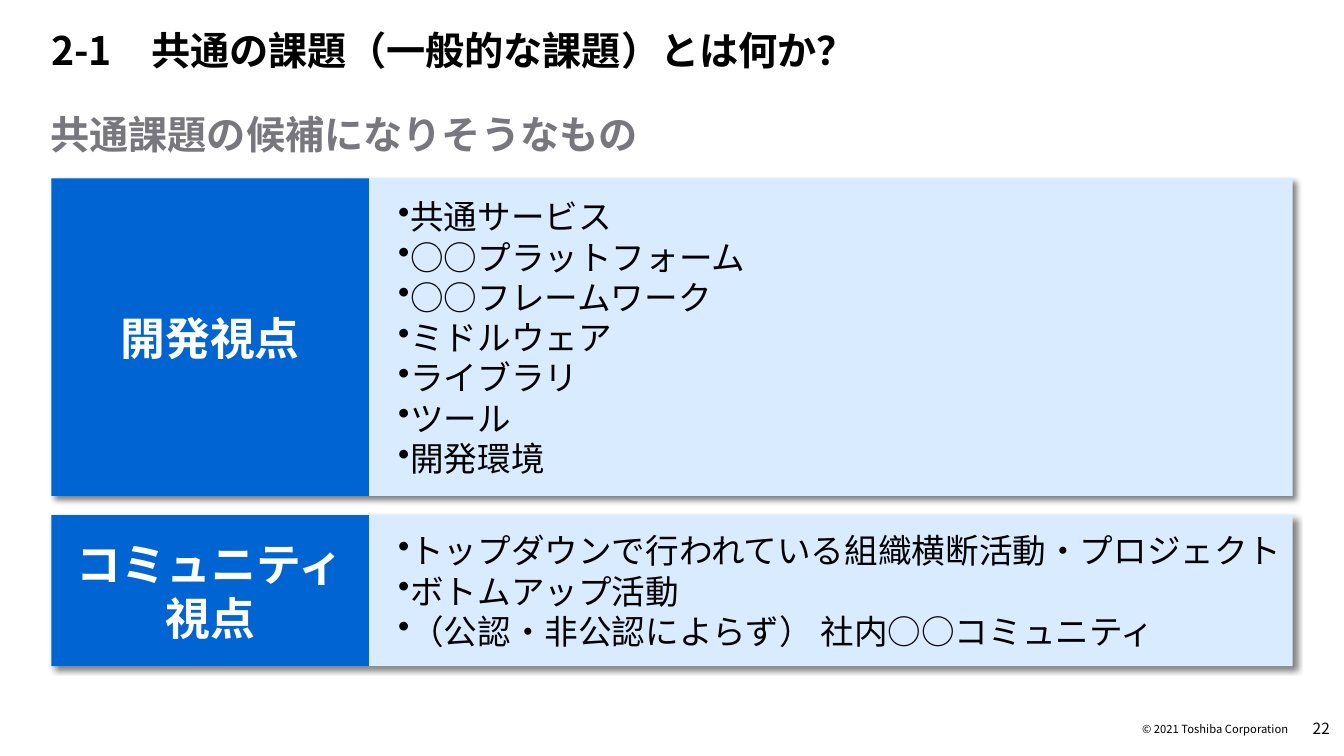
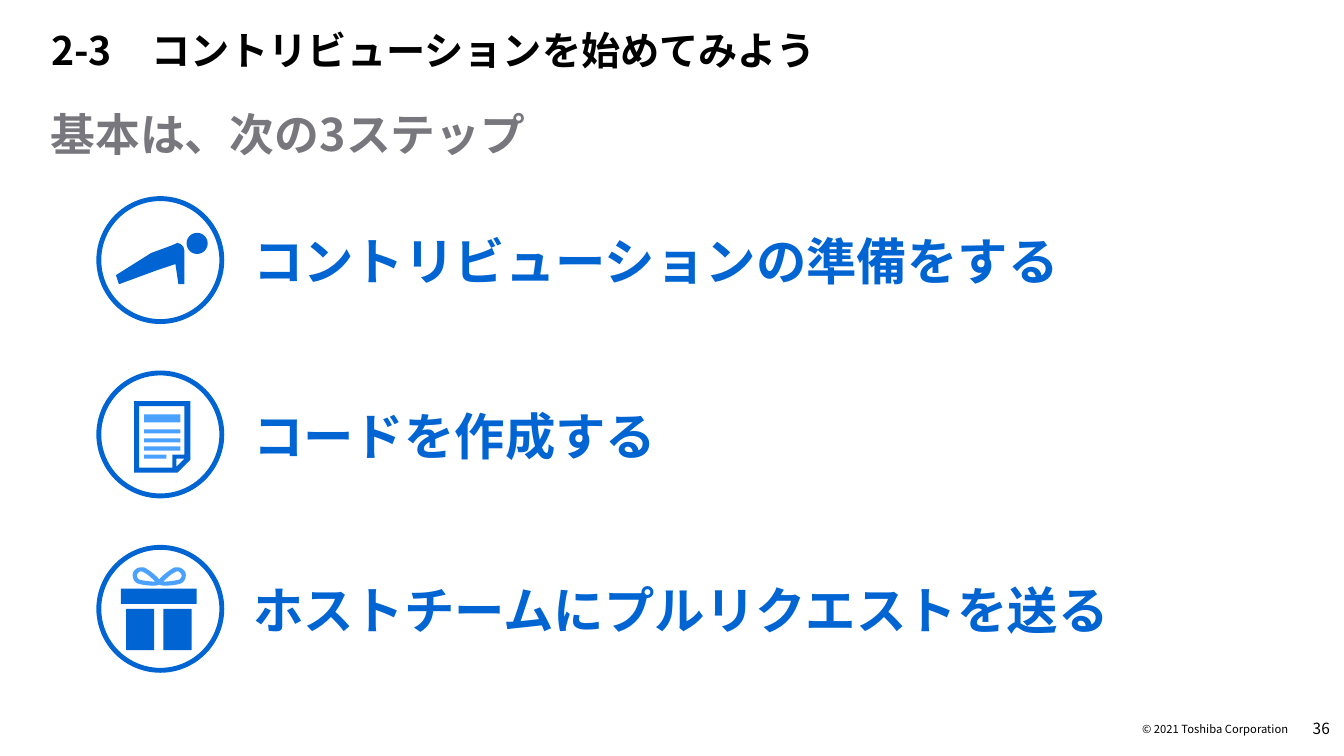
"""Build two slides on shared issues and the first steps of contributing."""
import pptx
import pptx.dml.color
import pptx.enum.shapes
import pptx.enum.text
import pptx.oxml
import pptx.oxml.ns
import pptx.util

Inches = pptx.util.Inches
Pt = pptx.util.Pt
SHAPE = pptx.enum.shapes.MSO_SHAPE
ALIGN = pptx.enum.text.PP_ALIGN
ANCHOR = pptx.enum.text.MSO_ANCHOR

FONT = "Noto Sans CJK JP"
COLORS = {
    "black": "000000",
    "white": "FFFFFF",
    "gray": "77777D",
    "blue": "0064D2",
    "sky": "4BA1FF",
    "pale": "D9EBFF",
}
COPYRIGHT = "© 2021 Toshiba Corporation"

ISSUES = {
    "title": "2-1　共通の課題（一般的な課題）とは何か？",
    "subtitle": "共通課題の候補になりそうなもの",
    "subtitle_size": 28,
    "number": "22",
}
CARDS = [
    (1.77, 3.15, ["開発視点"], [
        "共通サービス", "○○プラットフォーム", "○○フレームワーク",
        "ミドルウェア", "ライブラリ", "ツール", "開発環境",
    ]),
    (5.11, 1.5, ["コミュニティ", "視点"], [
        "トップダウンで行われている組織横断活動・プロジェクト",
        "ボトムアップ活動",
        "（公認・非公認によらず） 社内○○コミュニティ",
    ]),
]
CARD_LEFT, CARD_WIDTH, LABEL_WIDTH, LIST_LEFT = 0.51, 12.31, 3.15, 3.95

STARTING = {
    "title": "2-3　コントリビューションを始めてみよう",
    "subtitle": "基本は、次の3ステップ",
    "subtitle_size": 32,
    "number": "36",
}
STEP_LEFT, STEP_TOP, STEP_PITCH, CIRCLE = 0.98, 1.97, 1.73, 1.22

BODY = [(0.85, 0.52), (0.84, 0.48), (0.81, 0.45), (0.78, 0.44), (0.71, 0.47),
        (0.52, 0.54), (0.17, 0.76), (0.2, 0.85), (0.58, 0.71), (0.76, 0.65),
        (0.79, 0.85), (0.85, 0.85)]
SHEET = [
    [(0.35, 0.28), (0.91, 0.28), (0.91, 0.86), (0.87, 0.9), (0.78, 0.99), (0.35, 0.99)],
    [(0.4, 0.33), (0.85, 0.33), (0.85, 0.81), (0.73, 0.81), (0.73, 0.94), (0.4, 0.94)],
    [(0.77, 0.93), (0.77, 0.85), (0.85, 0.85)],
]
SHEET_LINES = [(0.41, 0.36, 0.08), (0.56, 0.36, 0.04), (0.65, 0.36, 0.04),
               (0.73, 0.36, 0.04), (0.81, 0.22, 0.04)]
GIFT_BOXES = [(0.27, 0.61, 0.28, 0.41), (0.64, 0.61, 0.28, 0.41), (0.22, 0.41, 0.75, 0.15)]
BOW_CENTER = 0.6
BOW_OUTER = [(0, 0.32), (0.02, 0.29), (0.09, 0.23), (0.15, 0.2),
             (0.2, 0.19), (0.24, 0.21), (0.26, 0.25),
             (0.27, 0.29), (0.26, 0.34), (0.21, 0.36),
             (0.18, 0.37), (0.12, 0.38), (0.06, 0.38),
             (0.04, 0.38), (0.02, 0.38), (0, 0.37)]
BOW_INNER = [(0.17, 0.24), (0.19, 0.23), (0.21, 0.25), (0.22, 0.27),
             (0.23, 0.29), (0.21, 0.31), (0.2, 0.32),
             (0.16, 0.33), (0.1, 0.34), (0.04, 0.34),
             (0.07, 0.31), (0.12, 0.26), (0.17, 0.24)]


def rgb(name):
    return pptx.dml.color.RGBColor.from_string(COLORS[name])


def add_bullet(para):
    properties = para._p.get_or_add_pPr()
    properties.set("marL", str(Inches(0.12)))
    properties.set("indent", str(-Inches(0.12)))
    bullet = pptx.oxml.parse_xml(f'<a:buChar {pptx.oxml.ns.nsdecls("a")} char="•"/>')
    properties.append(bullet)


def write(box, lines, size, color, bold=False, align=ALIGN.LEFT,
          anchor=ANCHOR.MIDDLE, margins=(0, 0, 0, 0), spacing=None, bullets=False):
    frame = box.text_frame
    frame.word_wrap = True
    frame.vertical_anchor = anchor
    (frame.margin_left, frame.margin_top,
     frame.margin_right, frame.margin_bottom) = map(Inches, margins)
    for index, line in enumerate(lines):
        para = frame.paragraphs[0] if index == 0 else frame.add_paragraph()
        para.alignment = align
        if len(lines) > 1:
            para.line_spacing = Pt(size * 1.2)
        elif spacing:
            para.line_spacing = spacing
        if bullets:
            add_bullet(para)
        span = para.add_run()
        span.text = line
        span.font.name = FONT
        span.font.size = Pt(size)
        span.font.bold = bold
        span.font.color.rgb = rgb(color)
        east = pptx.oxml.parse_xml(f'<a:ea {pptx.oxml.ns.nsdecls("a")} typeface="{FONT}"/>')
        span.font._element.append(east)


def add_text(shapes, place, lines, size, color, **style):
    box = shapes.add_textbox(*map(Inches, place))
    write(box, lines, size, color, **style)


def paint(shape, fill):
    shape.shadow.inherit = False
    shape.fill.solid()
    shape.fill.fore_color.rgb = rgb(fill)
    shape.line.fill.background()
    return shape


def add_block(shapes, place, fill, kind=SHAPE.RECTANGLE):
    return paint(shapes.add_shape(kind, *map(Inches, place)), fill)


def add_outline(shapes, left, top, contours, fill):
    builder = None
    for contour in contours:
        points = [(Inches(left + x), Inches(top + y)) for x, y in contour]
        if builder is None:
            builder = shapes.build_freeform(*points[0])
        else:
            builder.move_to(*points[0])
        builder.add_line_segments(points[1:], close=True)
    paint(builder.convert_to_shape(), fill)


def add_soft_shadow(shape):
    effects = shape._element.spPr.find(pptx.oxml.ns.qn("a:effectLst"))
    effects.append(pptx.oxml.parse_xml(
        f'<a:outerShdw {pptx.oxml.ns.nsdecls("a")} blurRad="{Pt(4)}" dist="{Pt(4)}"'
        f' dir="2700000" algn="tl" rotWithShape="0"><a:srgbClr val="{COLORS["black"]}">'
        '<a:alpha val="50000"/></a:srgbClr></a:outerShdw>'))


def curve_points(controls, steps=8):
    points = [controls[0]]
    for start in range(0, len(controls) - 1, 3):
        segment = controls[start:start + 4]
        for step in range(1, steps + 1):
            t = step / steps
            weights = ((1 - t) ** 3, 3 * t * (1 - t) ** 2, 3 * t * t * (1 - t), t ** 3)
            points.append(tuple(sum(w * point[axis] for w, point in zip(weights, segment))
                                for axis in (0, 1)))
    return points


def draw_push_up(shapes, left, top):
    add_block(shapes, (left + 0.87, top + 0.34, 0.21, 0.21), "blue", SHAPE.OVAL)
    add_outline(shapes, left, top, [BODY], "blue")


def draw_document(shapes, left, top):
    add_outline(shapes, left, top, SHEET, "blue")
    for y, width, height in SHEET_LINES:
        add_block(shapes, (left + 0.45, top + y, width, height), "sky")


def draw_gift(shapes, left, top):
    outer, inner = curve_points(BOW_OUTER), curve_points(BOW_INNER)

    def mirrored(points):
        return [(-x, y) for x, y in reversed(points)]

    bow = [outer + mirrored(outer), inner, mirrored(inner)]
    add_outline(shapes, left + BOW_CENTER, top, bow, "sky")
    for x, y, width, height in GIFT_BOXES:
        add_block(shapes, (left + x, top + y, width, height), "blue")


STEPS = [
    ("コントリビューションの準備をする", draw_push_up),
    ("コードを作成する", draw_document),
    ("ホストチームにプルリクエストを送る", draw_gift),
]


def add_page(deck, content):
    shapes = deck.slides.add_slide(deck.slide_layouts[6]).shapes
    add_text(shapes, (12.73, 7.03, 0.46, 0.4), [content["number"]], 11, "black",
             align=ALIGN.RIGHT)
    add_text(shapes, (10.8, 7.15, 1.98, 0.17), [COPYRIGHT], 8, "black", align=ALIGN.RIGHT)
    add_text(shapes, (0, 0, 12.52, 0.85), [content["title"]], 28, "black", bold=True,
             anchor=ANCHOR.BOTTOM, margins=(0.51, 0.12, 0.47, 0.12), spacing=0.9)
    add_text(shapes, (0.5, 1.08, 12.3, 0.5), [content["subtitle"]],
             content["subtitle_size"], "gray", bold=True)
    return shapes


def add_card(shapes, top, height, label, items):
    add_soft_shadow(add_block(shapes, (CARD_LEFT, top, CARD_WIDTH, height), "pale"))
    heading = add_block(shapes, (CARD_LEFT, top, LABEL_WIDTH, height), "blue")
    write(heading, label, 32, "white", bold=True, align=ALIGN.CENTER)
    list_width = CARD_LEFT + CARD_WIDTH - LIST_LEFT
    add_text(shapes, (LIST_LEFT, top, list_width, height), items, 24, "black", bullets=True)


def add_step(shapes, index, caption, draw_icon):
    top = STEP_TOP + index * STEP_PITCH
    group = shapes.add_group_shape().shapes
    add_text(group, (2.51, top + 0.28, 9.84, 0.67), [caption], 36, "blue", bold=True)
    ring = add_block(group, (STEP_LEFT, top, CIRCLE, CIRCLE), "white", SHAPE.OVAL)
    ring.line.color.rgb = rgb("blue")
    ring.line.width = Pt(3.5)
    draw_icon(group, STEP_LEFT, top)


def main():
    deck = pptx.Presentation()
    deck.slide_width, deck.slide_height = Inches(13.33), Inches(7.5)
    issues = add_page(deck, ISSUES)
    for card in CARDS:
        add_card(issues, *card)
    starting = add_page(deck, STARTING)
    for index, step in enumerate(STEPS):
        add_step(starting, index, *step)
    deck.save("out.pptx")


if __name__ == "__main__":
    main()
